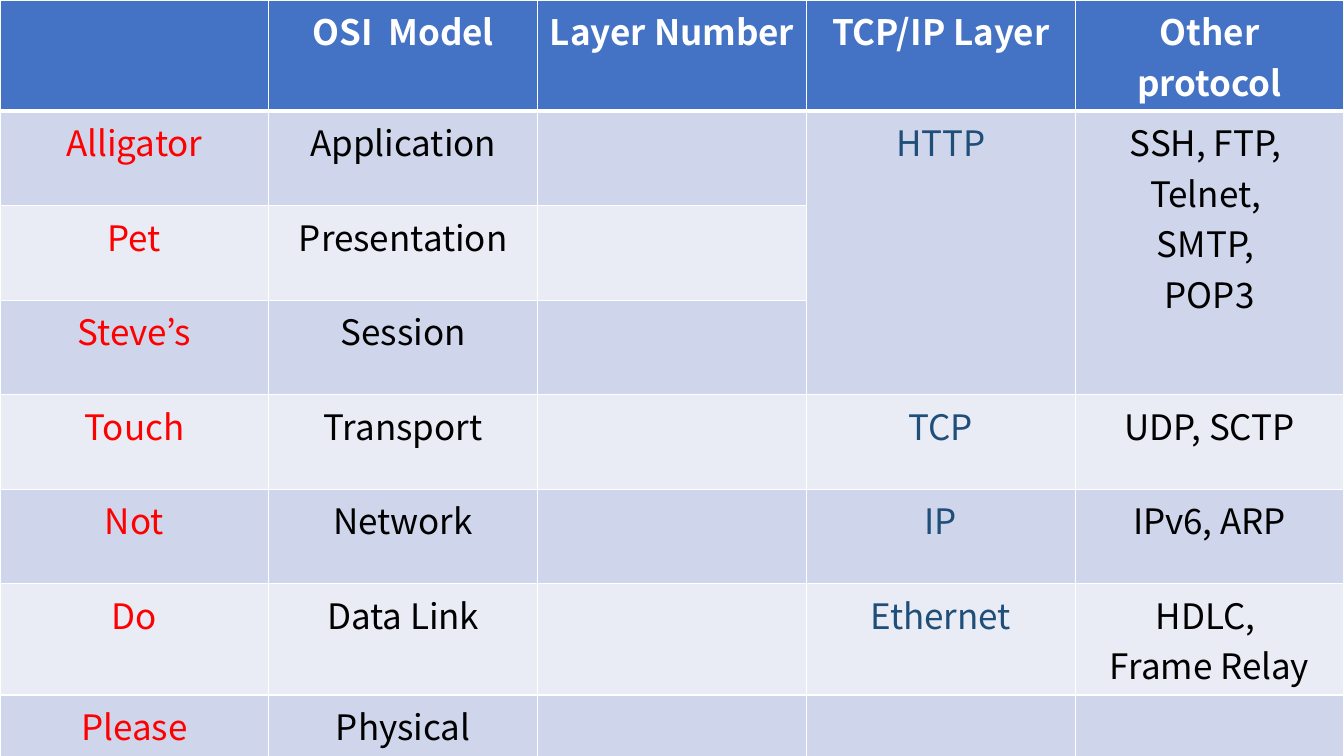
from lxml import etree
from pptx import Presentation
from pptx.dml.color import RGBColor as Rgb
from pptx.enum.text import PP_ALIGN as Align
from pptx.oxml.ns import qn
from pptx.util import Cm, Pt

WIDE, HIGH = Cm(33.87), Cm(19.05)
FONT = "Noto Sans CJK KR"
HUES = {"head": "4472C4", "odd": "CFD5EA", "even": "E9EBF5", "white": "FFFFFF",
        "red": "FF0000", "black": "000000", "navy": "1F4E79"}
INKS = ["red", "black", "black", "navy", "black"]  # text colour by column
ROWS = [
    ["", "OSI  Model", "Layer Number", "TCP/IP Layer", "Other protocol"],
    ["Alligator", "Application", "", "HTTP", "SSH, FTP, \nTelnet, \nSMTP, \nPOP3"],
    ["Pet", "Presentation", "", "", ""],
    ["Steve’s", "Session", "", "", ""],
    ["Touch", "Transport", "", "TCP", "UDP, SCTP"],
    ["Not", "Network", "", "IP", "IPv6, ARP"],
    ["Do", "Data Link", "", "Ethernet", "HDLC, \nFrame Relay"],
    ["Please", "Physical", "", "", ""],
]


def edge(cell, side, size):
    """Draw a white border on one side (L, R, T or B) of a cell."""
    props = cell._tc.get_or_add_tcPr()
    line = etree.SubElement(props, qn("a:ln" + side), w=str(Pt(size)))
    fill = etree.SubElement(line, qn("a:solidFill"))
    etree.SubElement(fill, qn("a:srgbClr"), val=HUES["white"])


def write(cell, text, ink, bold):
    """Fill a cell with centred paragraphs, one for each line of text."""
    for num, line in enumerate(text.split("\n")):
        frame = cell.text_frame
        para = frame.add_paragraph() if num else frame.paragraphs[0]
        para.alignment = Align.CENTER
        run = para.add_run()
        run.text = line
        run.font.name, run.font.size, run.font.bold = FONT, Pt(25), bold
        run.font.color.rgb = Rgb.from_string(HUES[ink])


deck = Presentation()
deck.slide_width, deck.slide_height = WIDE, HIGH
slide = deck.slides.add_slide(deck.slide_layouts[6])
table = slide.shapes.add_table(len(ROWS), len(INKS), 0, 0, WIDE, HIGH).table

for r, row in enumerate(ROWS):
    head = r == 0
    band = "head" if head else "odd" if r % 2 else "even"
    for c, text in enumerate(row):
        cell = table.cell(r, c)
        for side in "LRTB":
            thick = (head and side == "B") or (r == 1 and side == "T")
            edge(cell, side, 3 if thick else 1)
        cell.fill.solid()
        cell.fill.fore_color.rgb = Rgb.from_string(HUES[band])
        if text:
            write(cell, text, "white" if head else INKS[c], head)

# The top three OSI layers share one TCP/IP layer
for c in (3, 4):
    table.cell(1, c).merge(table.cell(3, c))

deck.save("out.pptx")
